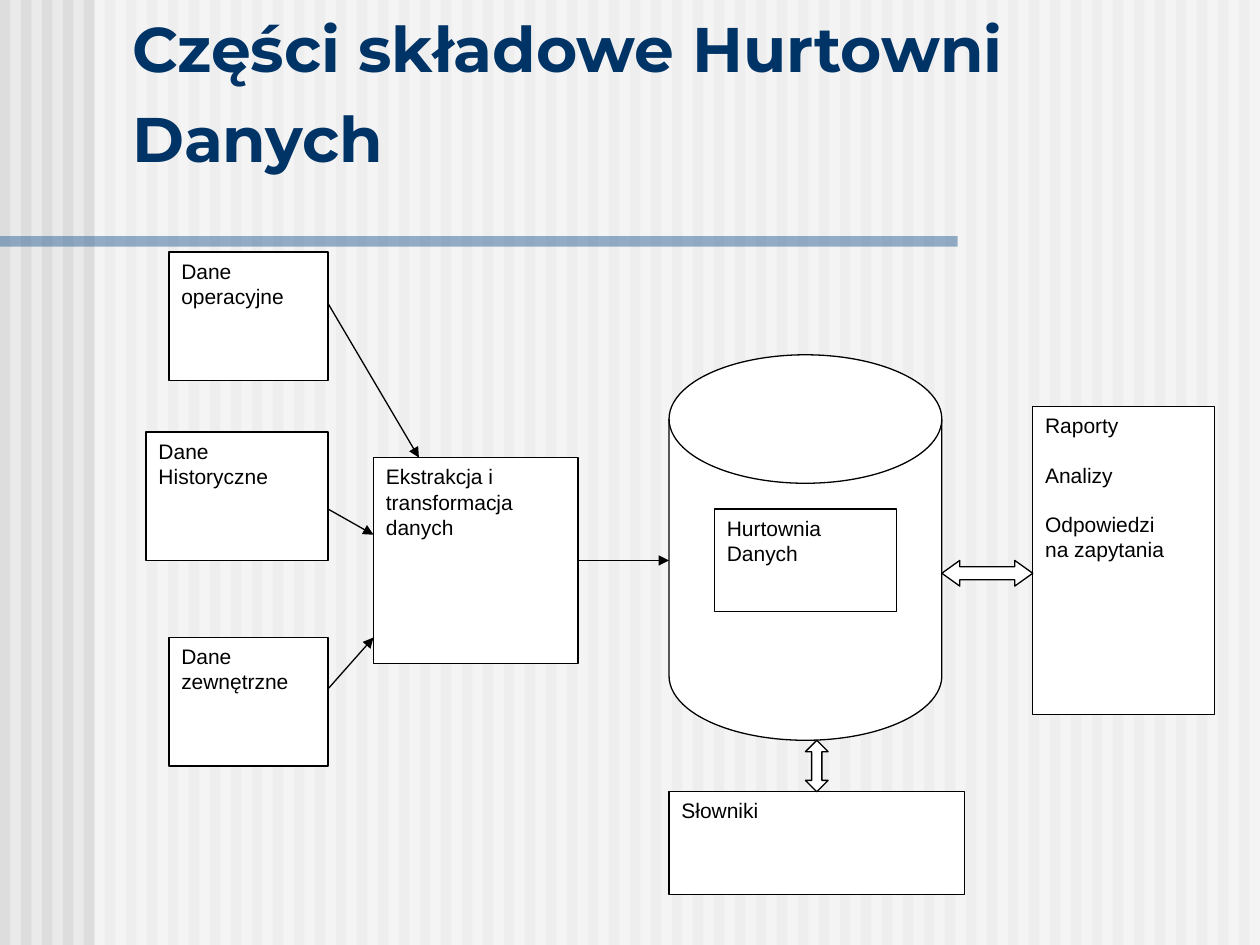
import pptx
import pptx.util
import pptx.dml.color
import pptx.enum.shapes
import pptx.enum.text
import pptx.oxml.ns
import lxml.etree

BACKGROUND = pptx.dml.color.RGBColor(0xEA, 0xEA, 0xEA)
STRIPE = pptx.dml.color.RGBColor(0xDD, 0xDD, 0xDD)
WHITE = pptx.dml.color.RGBColor(0xFF, 0xFF, 0xFF)
BLACK = pptx.dml.color.RGBColor(0, 0, 0)
RULE = pptx.dml.color.RGBColor(0x33, 0x66, 0x99)
TITLE = pptx.dml.color.RGBColor(0x00, 0x33, 0x66)
KINDS = pptx.enum.shapes.MSO_SHAPE

deck = pptx.Presentation()
deck.slide_width = pptx.util.Inches(10)
deck.slide_height = pptx.util.Inches(7.5)
page = deck.slides.add_slide(deck.slide_layouts[6])
page.background.fill.solid()
page.background.fill.fore_color.rgb = BACKGROUND

LEFT = pptx.util.Inches(1.16)
TOP = pptx.util.Inches(2)
COLUMN = pptx.util.Inches(8.48) / 47
ROW = pptx.util.Inches(5.1) / 25


def add_block(kind, left, top, width, height, color, opacity=100):
    block = page.shapes.add_shape(kind, int(left), int(top), int(width), int(height))
    block.shadow.inherit = False
    block.fill.solid()
    block.fill.fore_color.rgb = color
    block.line.fill.background()
    if opacity < 100:
        tint = block.fill._xPr.find(".//" + pptx.oxml.ns.qn("a:srgbClr"))
        lxml.etree.SubElement(tint, pptx.oxml.ns.qn("a:alpha"), val=str(opacity * 1000))
    return block


def add_part(kind, column, row, columns, rows):
    part = add_block(kind, LEFT + column * COLUMN, TOP + row * ROW,
                     columns * COLUMN, rows * ROW, WHITE)
    part.line.color.rgb = BLACK
    part.line.width = pptx.util.Pt(0.75)
    return part


stripe_step = deck.slide_width / 60
for index in range(60):
    add_block(KINDS.RECTANGLE, index * stripe_step, 0, stripe_step / 2,
              deck.slide_height, STRIPE)
add_block(KINDS.RECTANGLE, deck.slide_width * 0.075, 0, deck.slide_width * 0.925,
          deck.slide_height, WHITE, 50)
add_block(KINDS.RECTANGLE, 0, deck.slide_height * 0.25, deck.slide_width * 0.76,
          stripe_step / 2, RULE, 50)

title = page.shapes.add_textbox(*map(pptx.util.Inches, (0.95, 0.03, 8.93, 1.43)))
title.text_frame.word_wrap = True
title.text_frame.vertical_anchor = pptx.enum.text.MSO_ANCHOR.BOTTOM
para = title.text_frame.paragraphs[0]
for words, font, size, bold in (
    ("Części składowe Hurtowni Danych", "Montserrat", 36, True),
    (" ", "DejaVu Sans", 44, False),
):
    span = para.add_run()
    span.text = words
    span.font.name = font
    span.font.size = pptx.util.Pt(size)
    span.font.bold = bold
    span.font.color.rgb = TITLE

add_part(KINDS.FLOWCHART_MAGNETIC_DISK, 23, 4, 12, 15)

boxes = (
    (25, 10, 8, 4, (("Hurtownia Danych", 0),)),
    (23, 21, 13, 4, (("Słowniki", 0),)),
    (39, 6, 8, 12, (("Raporty", 0), ("Analizy", 14), ("Odpowiedzi", 14), ("na zapytania", 0))),
    (10, 8, 9, 8, (("Ekstrakcja i transformacja", 0), ("danych", 0))),
    (1, 0, 7, 5, (("Dane operacyjne", 0),)),
    (0, 7, 8, 5, (("Dane Historyczne", 0),)),
    (1, 15, 7, 5, (("Dane zewnętrzne", 0),)),
)
for column, row, columns, rows, lines in boxes:
    box = add_part(KINDS.RECTANGLE, column, row, columns, rows)
    frame = box.text_frame
    frame.word_wrap = True
    frame.vertical_anchor = pptx.enum.text.MSO_ANCHOR.TOP
    for number, (words, gap) in enumerate(lines):
        para = frame.add_paragraph() if number else frame.paragraphs[0]
        para.text = words
        para.alignment = pptx.enum.text.PP_ALIGN.LEFT
        if gap:
            para.space_before = pptx.util.Pt(gap)
        para.font.name = "Arial"
        para.font.size = pptx.util.Pt(12)
        para.font.color.rgb = BLACK

flows = ((8, 2, 12, 8), (8, 10, 10, 11), (8, 17, 10, 15), (19, 12, 23, 12))
for start_column, start_row, end_column, end_row in flows:
    flow = page.shapes.add_connector(
        pptx.enum.shapes.MSO_CONNECTOR.STRAIGHT,
        int(LEFT + start_column * COLUMN), int(TOP + start_row * ROW),
        int(LEFT + end_column * COLUMN), int(TOP + end_row * ROW))
    flow.line.color.rgb = BLACK
    flow.line.width = pptx.util.Pt(0.75)
    lxml.etree.SubElement(flow.line._get_or_add_ln(), pptx.oxml.ns.qn("a:tailEnd"),
                          type="triangle")
    lxml.etree.SubElement(flow._element.spPr, pptx.oxml.ns.qn("a:effectLst"))

exchanges = (
    (KINDS.UP_DOWN_ARROW, 29, 19, 1, 2, 0.45),
    (KINDS.LEFT_RIGHT_ARROW, 35, 12, 4, 1, 0.7),
)
for kind, column, row, columns, rows, head in exchanges:
    exchange = add_part(kind, column, row, columns, rows)
    exchange.adjustments[0] = 0.5
    exchange.adjustments[1] = head

deck.save("out.pptx")
